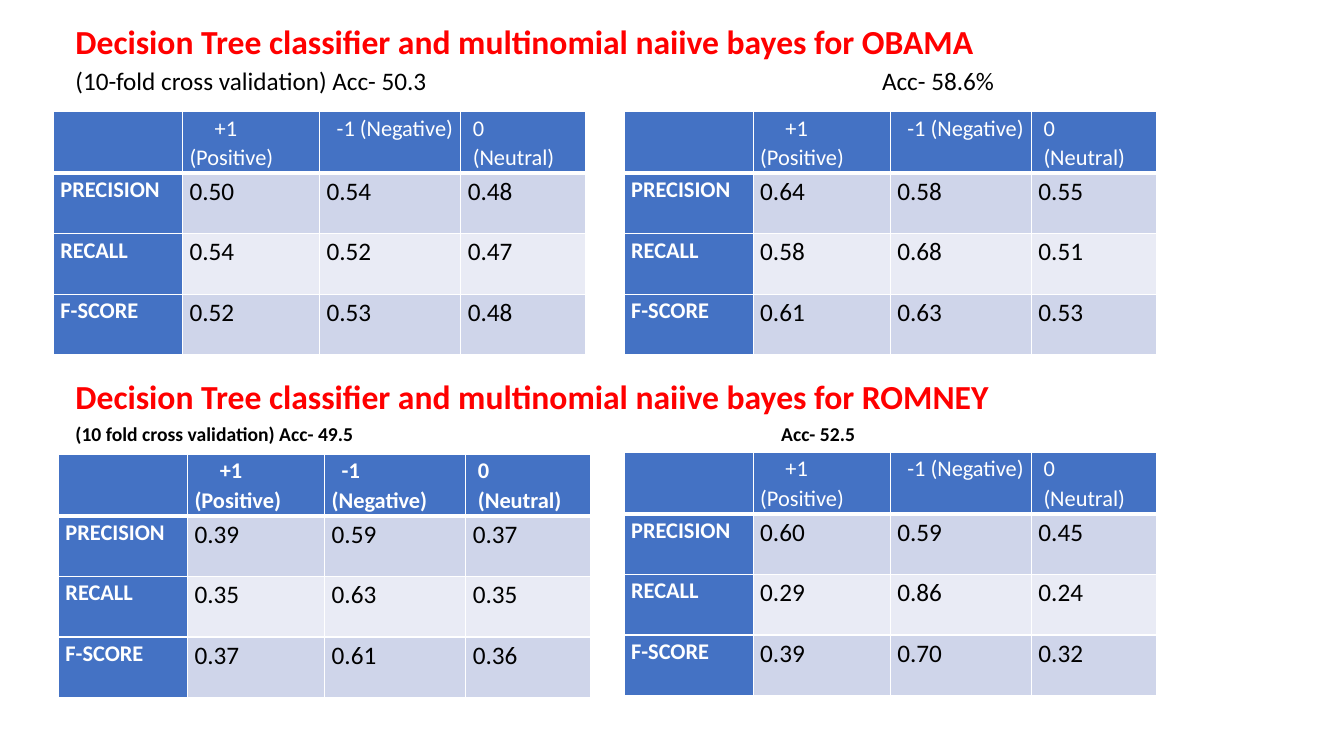
from lxml import etree
from pptx import Presentation
from pptx.dml.color import RGBColor
from pptx.oxml.ns import qn
from pptx.util import Inches, Pt

FONT = "Calibri"
BLUE, WHITE, BLACK, RED = "4472C4", "FFFFFF", "000000", "FF0000"
BANDS = ["CFD5EA", "E9EBF5"]
COLUMN_WIDTHS = [1.28, 1.36, 1.4, 1.24]
ROW_HEIGHTS = [0.61, 0.6, 0.6, 0.6]
HEADERS = [("", 0, 0), ("+1 (Positive)", 0, 0.25),
           ("-1 (Negative)", 0, 0.1), ("0\v(Neutral)", 0.05, 0)]
MEASURES = ["PRECISION", "RECALL", "F-SCORE"]


def rgb(color):
    return RGBColor.from_string(color)


def style_font(font, size, color, bold=False):
    for name, value in {"name": FONT, "size": Pt(size), "bold": bold}.items():
        setattr(font, name, value)
    font.color.rgb = rgb(color)


def add_run(p, text, size, color, bold=False):
    r = p.add_run()
    r.text = text
    style_font(r.font, size, color, bold)


def add_heading(s, left, top, title, accuracies, size, bold, gap, tab_at, tab_size):
    box = s.shapes.add_textbox(Inches(left), Inches(top), Inches(11), Inches(0.85))
    tf = box.text_frame
    tf.word_wrap = True
    title_p, accuracy_p = tf.paragraphs[0], tf.add_paragraph()
    for p in (title_p, accuracy_p):
        p.line_spacing = 0.9
    add_run(title_p, title, 24, RED, True)
    accuracy_p.space_before = Pt(gap)
    tabs = etree.SubElement(accuracy_p._p.get_or_add_pPr(), qn("a:tabLst"))
    etree.SubElement(tabs, qn("a:tab"), pos=str(Inches(tab_at)), algn="l")
    add_run(accuracy_p, accuracies[0], size, BLACK, bold)
    add_run(accuracy_p, "\t", tab_size, BLACK, bold)
    add_run(accuracy_p, accuracies[1], size, BLACK, bold)


def set_borders(cell, widths):
    tcPr = cell._tc.get_or_add_tcPr()
    for side, width in zip("LRTB", widths):
        line = etree.SubElement(tcPr, qn("a:ln" + side), w=str(Pt(width)))
        fill = etree.SubElement(line, qn("a:solidFill"))
        etree.SubElement(fill, qn("a:srgbClr"), val=WHITE)


def fill_cell(cell, text, fill, size, color, bold, borders, margin=0, indent=0):
    set_borders(cell, borders)
    cell.fill.solid()
    cell.fill.fore_color.rgb = rgb(fill)
    margins = {"left": 0.07, "top": 0.01, "right": 0.07, "bottom": 0}
    for side, inset in margins.items():
        setattr(cell, "margin_" + side, Inches(inset))
    cell.text = text
    p = cell.text_frame.paragraphs[0]
    p.line_spacing = 1.07
    p.space_after = Pt(8)
    pPr = p._p.get_or_add_pPr()
    pPr.set("marL", str(Inches(margin)))
    pPr.set("indent", str(Inches(indent)))
    for r in p.runs:
        style_font(r.font, size, color, bold)


def add_score_table(s, left, top, scores, bold_header=False):
    table = s.shapes.add_table(
        len(ROW_HEIGHTS), len(COLUMN_WIDTHS), Inches(left), Inches(top),
        Inches(sum(COLUMN_WIDTHS)), Inches(sum(ROW_HEIGHTS))).table
    for column, width in zip(table.columns, COLUMN_WIDTHS):
        column.width = Inches(width)
    for row, height in zip(table.rows, ROW_HEIGHTS):
        row.height = Inches(height)
    for j, (text, margin, indent) in enumerate(HEADERS):
        fill_cell(table.cell(0, j), text, BLUE, 16, WHITE, bold_header,
                  (1, 1, 1, 3), margin, indent)
    for i, (measure, values) in enumerate(zip(MEASURES, scores)):
        borders = (1, 1, 3 if i == 0 else 1, 1)
        fill_cell(table.cell(i + 1, 0), measure, BLUE, 16, WHITE, True, borders)
        for j, value in enumerate(values):
            fill_cell(table.cell(i + 1, j + 1), f"{value:.2f}", BANDS[i % 2],
                      18, BLACK, False, borders)


def main():
    prs = Presentation()
    prs.slide_width, prs.slide_height = Inches(13.33), Inches(7.5)
    s = prs.slides.add_slide(prs.slide_layouts[6])
    title = "Decision Tree classifier and multinomial naiive bayes for "
    add_heading(s, 0.65, 0.2, title + "OBAMA",
                ("(10-fold cross validation) Acc- 50.3", "Acc- 58.6%"),
                size=18, bold=False, gap=0, tab_at=8, tab_size=24)
    add_heading(s, 0.65, 3.73, title + "ROMNEY",
                ("(10 fold cross validation) Acc- 49.5", "Acc- 52.5"),
                size=14, bold=True, gap=5, tab_at=7, tab_size=14)
    add_score_table(s, 0.53, 1.11, [(0.50, 0.54, 0.48), (0.54, 0.52, 0.47), (0.52, 0.53, 0.48)])
    add_score_table(s, 0.58, 4.51, [(0.39, 0.59, 0.37), (0.35, 0.63, 0.35), (0.37, 0.61, 0.36)],
                    bold_header=True)
    add_score_table(s, 6.19, 1.11, [(0.64, 0.58, 0.55), (0.58, 0.68, 0.51), (0.61, 0.63, 0.53)])
    add_score_table(s, 6.19, 4.49, [(0.60, 0.59, 0.45), (0.29, 0.86, 0.24), (0.39, 0.70, 0.32)])
    prs.save("out.pptx")


if __name__ == "__main__":
    main()
